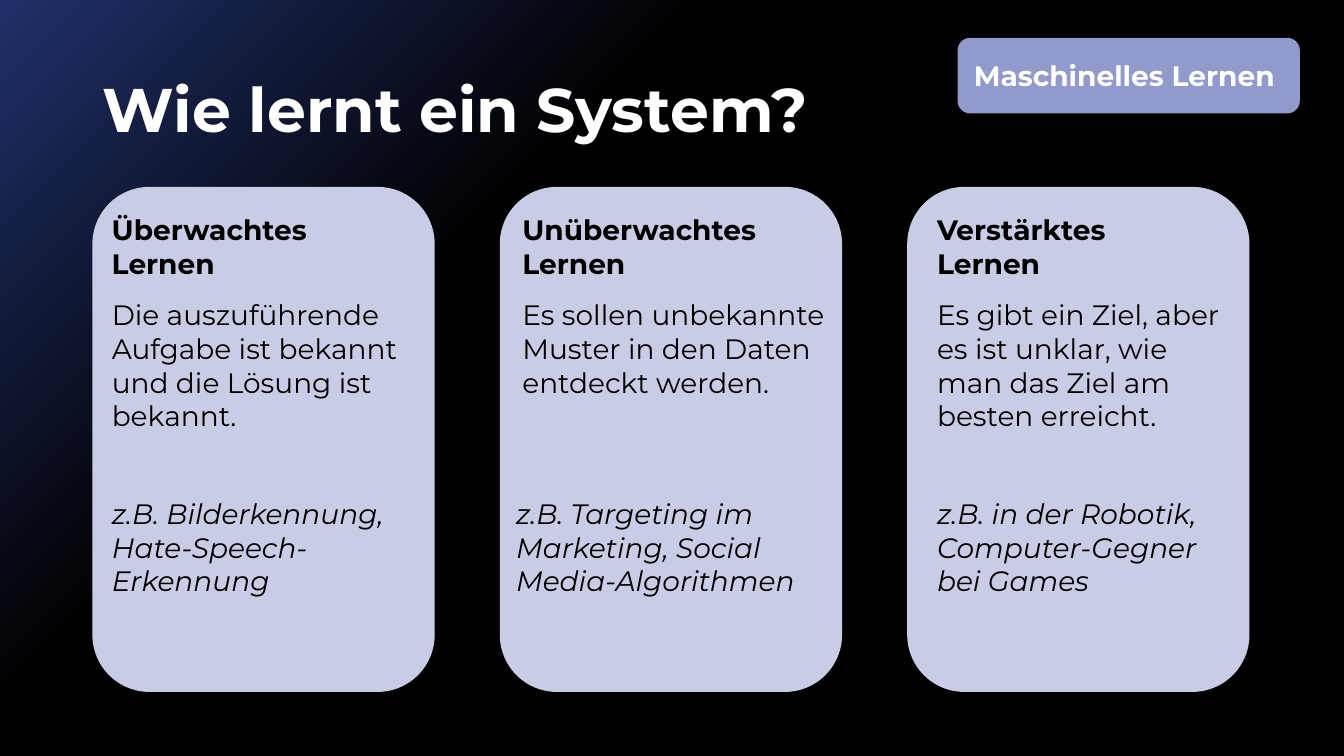
"""Builds a slide on the three ways a system can learn."""
from dataclasses import dataclass

from pptx import Presentation
from pptx.dml.color import RGBColor
from pptx.enum.shapes import MSO_SHAPE
from pptx.enum.text import MSO_ANCHOR, MSO_AUTO_SIZE, PP_ALIGN
from pptx.util import Pt

EMU_PER_PX = 9525


@dataclass(frozen=True)
class Theme:
    """Colours, font and type sizes of the slide."""
    font: str = "Montserrat"
    title_size: int = 44
    text_size: int = 20
    glow: str = "21306A"
    dark: str = "000000"
    light: str = "FFFFFF"
    badge: str = "919ACA"
    card: str = "C8CDE5"


@dataclass(frozen=True)
class Card:
    """Wording of a card, with text offsets and widths in px."""
    heading: str
    body: str
    example: str
    indent: int
    example_indent: int
    heading_width: int
    text_width: int


THEME = Theme()
CARDS = [
    Card("Überwachtes\nLernen",
         "Die auszuführende Aufgabe ist bekannt und die Lösung ist bekannt.",
         "z.B. Bilderkennung, Hate-Speech-Erkennung", 9, 9, 248, 326),
    Card("Unüberwachtes Lernen",
         "Es sollen unbekannte Muster in den Daten entdeckt werden.",
         "z.B. Targeting im Marketing, Social Media-Algorithmen",
         12, 6, 285, 326),
    Card("Verstärktes\nLernen",
         "Es gibt ein Ziel, aber es ist unklar, wie man das Ziel am besten "
         "erreicht.",
         "z.B. in der Robotik, Computer-Gegner bei Games", 19, 19, 272, 298),
]


def px(*lengths):
    """Turn px lengths into EMU."""
    return [n * EMU_PER_PX for n in lengths]


def write(tf, text, size, color, bold=False, italic=False):
    """Fill a text frame with left-aligned, formatted text."""
    tf.text = text
    tf.word_wrap = True
    for p in tf.paragraphs:
        p.alignment = PP_ALIGN.LEFT
        for r in p.runs:
            r.font.name = THEME.font
            r.font.size = Pt(size)
            r.font.bold = bold
            r.font.italic = italic
            r.font.color.rgb = RGBColor.from_string(color)


def add_panel(s, kind, box, color):
    """Add a plain filled shape."""
    sp = s.shapes.add_shape(kind, *px(*box))
    sp.shadow.inherit = False
    sp.fill.solid()
    sp.fill.fore_color.rgb = RGBColor.from_string(color)
    sp.line.fill.background()
    return sp


def add_text(s, box, text, **style):
    """Add a text box in the card text style."""
    tf = s.shapes.add_textbox(*px(*box)).text_frame
    write(tf, text, THEME.text_size, THEME.dark, **style)


def paint_background(s):
    """Let a blue glow fade to black from the top left corner."""
    fill = s.background.fill
    fill.gradient()
    fill.gradient_angle = 315
    stops = ((0, THEME.glow), (0.34, THEME.dark))
    for stop, (position, color) in zip(fill.gradient_stops, stops):
        stop.position = position
        stop.color.rgb = RGBColor.from_string(color)


def place_title(s, box, text):
    """Move and format the title placeholder."""
    sp = s.shapes.title
    sp.left, sp.top, sp.width, sp.height = px(*box)
    tf = sp.text_frame
    write(tf, text, THEME.title_size, THEME.light, bold=True)
    tf.auto_size = MSO_AUTO_SIZE.NONE
    tf.vertical_anchor = MSO_ANCHOR.MIDDLE
    tf.paragraphs[0].line_spacing = 0.9


def add_badge(s, box, text):
    """Add the topic badge."""
    tf = add_panel(s, MSO_SHAPE.ROUNDED_RECTANGLE, box, THEME.badge).text_frame
    write(tf, text, THEME.text_size, THEME.light, bold=True)
    tf.margin_left, tf.margin_right = px(12, 0)
    tf.vertical_anchor = MSO_ANCHOR.MIDDLE


def add_card(s, box, card):
    """Add a card with heading, body and example."""
    x, y, _, _ = box
    add_panel(s, MSO_SHAPE.FLOWCHART_ALTERNATE_PROCESS, box, THEME.card)
    add_text(s, (x + card.indent, y + 20, card.heading_width, 74),
             card.heading, bold=True)
    add_text(s, (x + card.indent, y + 101, card.text_width, 139), card.body)
    add_text(s, (x + card.example_indent, y + 290, card.text_width, 107),
             card.example, italic=True)


def build_slide(prs):
    """Lay out the whole slide."""
    s = prs.slides.add_slide(prs.slide_layouts[5])
    paint_background(s)
    place_title(s, (88, 38, 1104, 139), "Wie lernt ein System?")
    add_badge(s, (912, 36, 326, 72), "Maschinelles Lernen")
    left, pitch = 88, 388
    for i, card in enumerate(CARDS):
        add_card(s, (left + i * pitch, 178, 326, 481), card)


def main():
    """Create and save the presentation."""
    prs = Presentation()
    prs.slide_width, prs.slide_height = px(1280, 720)
    build_slide(prs)
    prs.save("out.pptx")


if __name__ == "__main__":
    main()
